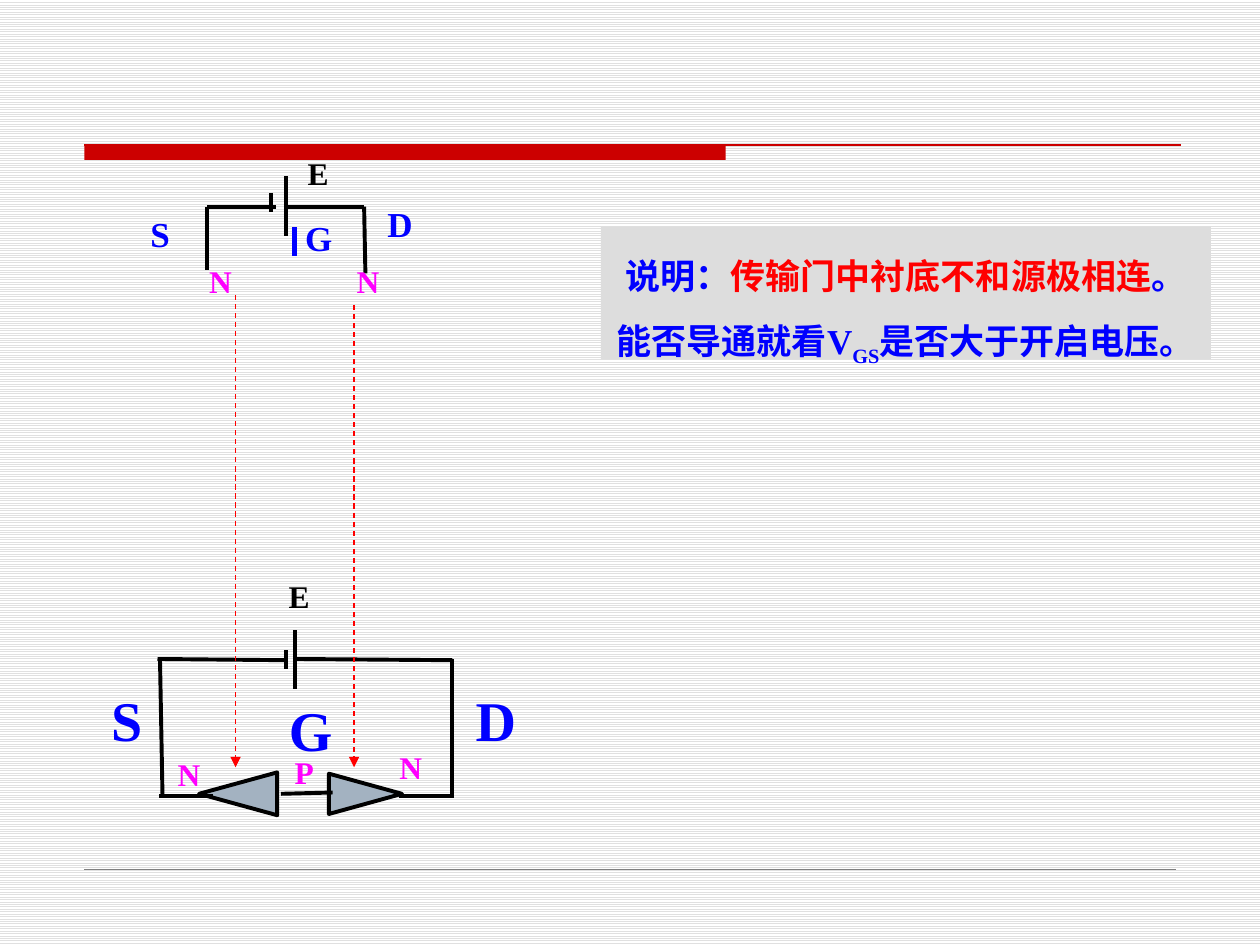
from lxml.etree import SubElement
from pptx import Presentation
from pptx.dml.color import RGBColor
from pptx.enum.dml import MSO_LINE, MSO_PATTERN
from pptx.enum.shapes import MSO_CONNECTOR, MSO_SHAPE
from pptx.enum.text import MSO_ANCHOR, MSO_AUTO_SIZE, PP_ALIGN
from pptx.oxml.ns import qn
from pptx.util import Inches, Pt

BLACK = RGBColor(0x00, 0x00, 0x00)
BLUE = RGBColor(0x00, 0x00, 0xFF)
RED = RGBColor(0xFF, 0x00, 0x00)
MAGENTA = RGBColor(0xFF, 0x00, 0xFF)
CRIMSON = RGBColor(0xCC, 0x00, 0x00)
GRAY = RGBColor(0x80, 0x80, 0x80)
SILVER = RGBColor(0xDD, 0xDD, 0xDD)
STEEL = RGBColor(0xA3, 0xB2, 0xC1)
STRIPE = RGBColor(0xE0, 0xE0, 0xE0)
WHITE = RGBColor(0xFF, 0xFF, 0xFF)

UPPER_WIRES = [
    (1.64, 2.14, 1.64, 1.64),
    (2.9, 2.17, 2.89, 1.64),
    (2.27, 1.4, 2.27, 1.87),
    (2.15, 1.53, 2.15, 1.68),
    (2.27, 1.64, 2.89, 1.64),
    (2.19, 1.64, 1.64, 1.64),
]
LOWER_WIRES = [
    (2.23, 6.3, 2.64, 6.29),
    (1.29, 6.32, 1.27, 5.23),
    (3.59, 6.32, 3.59, 5.23),
    (2.34, 5, 2.34, 5.47),
    (2.27, 5.16, 2.27, 5.31),
    (2.34, 5.23, 3.59, 5.24),
    (2.27, 5.24, 1.25, 5.23),
    (1.69, 6.32, 1.26, 6.32),
    (3.6, 6.32, 3.17, 6.32),
]
DIODES = [(2.74, 6.01, 0.32, 0.58, 90), (1.72, 5.99, 0.34, 0.62, 270)]
GUIDES = [(1.87, 2.34), (2.81, 2.42)]
LABEL_GROUPS = [
    (18, 0.4, MAGENTA, [
        ("N", 2.73, 2.03, 0.38), ("N", 1.56, 2.03, 0.38), ("P", 2.23, 5.93, 0.37),
        ("N", 1.31, 5.94, 0.38), ("N", 3.07, 5.89, 0.38),
    ]),
    (18, 0.4, BLACK, [("E", 2.34, 1.17, 0.37), ("E", 2.19, 4.53, 0.37)]),
    (32, 0.64, BLUE, [
        ("S", 0.78, 5.39, 0.45), ("D", 3.67, 5.39, 0.53), ("G", 2.19, 5.47, 0.55),
    ]),
    (20, 0.44, BLUE, [
        ("G", 2.32, 1.67, 0.42), ("S", 1.09, 1.64, 0.36), ("D", 2.97, 1.56, 0.41),
    ]),
]
NOTE = [
    ("说明：", BLUE, 0),
    ("传输门中衬底不和源极相连", RED, 0),
    ("。能否导通就看V", BLUE, 0),
    ("GS", BLUE, -25000),
    ("是否大于开启电压。", BLUE, 0),
]


def apply_format(target, values):
    """Set each named attribute of the target."""
    for name, value in values.items():
        setattr(target, name, value)


def add_span(para, text, size, color, baseline=0):
    """Add a bold run to the paragraph."""
    span = para.add_run()
    span.text = text
    apply_format(span.font, {"name": "Times New Roman", "size": Pt(size), "bold": True})
    span.font.color.rgb = color
    if baseline:
        span.font._element.set("baseline", str(baseline))


def add_line(page, ends, color=BLACK, width=2.25, arrow=False):
    """Draw a straight line, dashed with an arrowhead if asked."""
    line = page.shapes.add_connector(MSO_CONNECTOR.STRAIGHT, *map(Inches, ends))
    line.line.color.rgb = color
    line.line.width = Pt(width)
    if arrow:
        line.line.dash_style = MSO_LINE.DASH
        SubElement(line.line._get_or_add_ln(), qn("a:tailEnd"), type="triangle")
    SubElement(line._element.spPr, qn("a:effectLst"))


def add_solid(page, kind, area, fill, outline=None):
    """Draw a filled preset shape."""
    shape = page.shapes.add_shape(kind, *map(Inches, area))
    shape.shadow.inherit = False
    shape.fill.solid()
    shape.fill.fore_color.rgb = fill
    if outline is None:
        shape.line.fill.background()
    else:
        shape.line.color.rgb = outline
        shape.line.width = Pt(2.25)
    return shape


def add_label(page, text, area, size, color):
    """Add a centred terminal label."""
    box = page.shapes.add_textbox(*map(Inches, area))
    apply_format(box.text_frame, {
        "word_wrap": False, "auto_size": MSO_AUTO_SIZE.SHAPE_TO_FIT_TEXT,
    })
    para = box.text_frame.paragraphs[0]
    para.alignment = PP_ALIGN.CENTER
    add_span(para, text, size, color)


def add_note(page):
    """Add the shaded explanation."""
    box = add_solid(page, MSO_SHAPE.RECTANGLE, (4.77, 1.8, 4.84, 1.05), SILVER)
    apply_format(box.text_frame, {"word_wrap": True, "vertical_anchor": MSO_ANCHOR.TOP})
    para = box.text_frame.paragraphs[0]
    apply_format(para, {"alignment": PP_ALIGN.CENTER, "line_spacing": 1.5})
    for text, color, baseline in NOTE:
        add_span(para, text, 20, color, baseline)


def add_backdrop(page):
    """Set the striped background and the rules."""
    fill = page.background.fill
    fill.patterned()
    fill.pattern = MSO_PATTERN.LIGHT_HORIZONTAL
    fill.fore_color.rgb = STRIPE
    fill.back_color.rgb = WHITE
    add_solid(page, MSO_SHAPE.RECTANGLE, (0.67, 1.15, 5.09, 0.12), CRIMSON)
    add_line(page, (0.67, 1.15, 9.37, 1.15), CRIMSON, 0.75)
    add_line(page, (0.67, 6.9, 9.33, 6.9), GRAY, 0.25)


def main():
    """Build and save the slide."""
    deck = Presentation()
    apply_format(deck, {"slide_width": Inches(10), "slide_height": Inches(7.5)})
    page = deck.slides.add_slide(deck.slide_layouts[6])
    add_backdrop(page)
    for *area, angle in DIODES:
        add_solid(page, MSO_SHAPE.ISOSCELES_TRIANGLE, area, STEEL, BLACK).rotation = angle
    for ends in UPPER_WIRES + LOWER_WIRES:
        add_line(page, ends)
    for x, top in GUIDES:
        add_line(page, (x, top, x, 6.09), RED, 0.75, arrow=True)
    for size, height, color, labels in LABEL_GROUPS:
        for text, left, top, width in labels:
            add_label(page, text, (left, top, width, height), size, color)
    add_line(page, (2.34, 2.03, 2.34, 1.8), BLUE, 3)
    add_note(page)
    deck.save("out.pptx")


if __name__ == "__main__":
    main()
